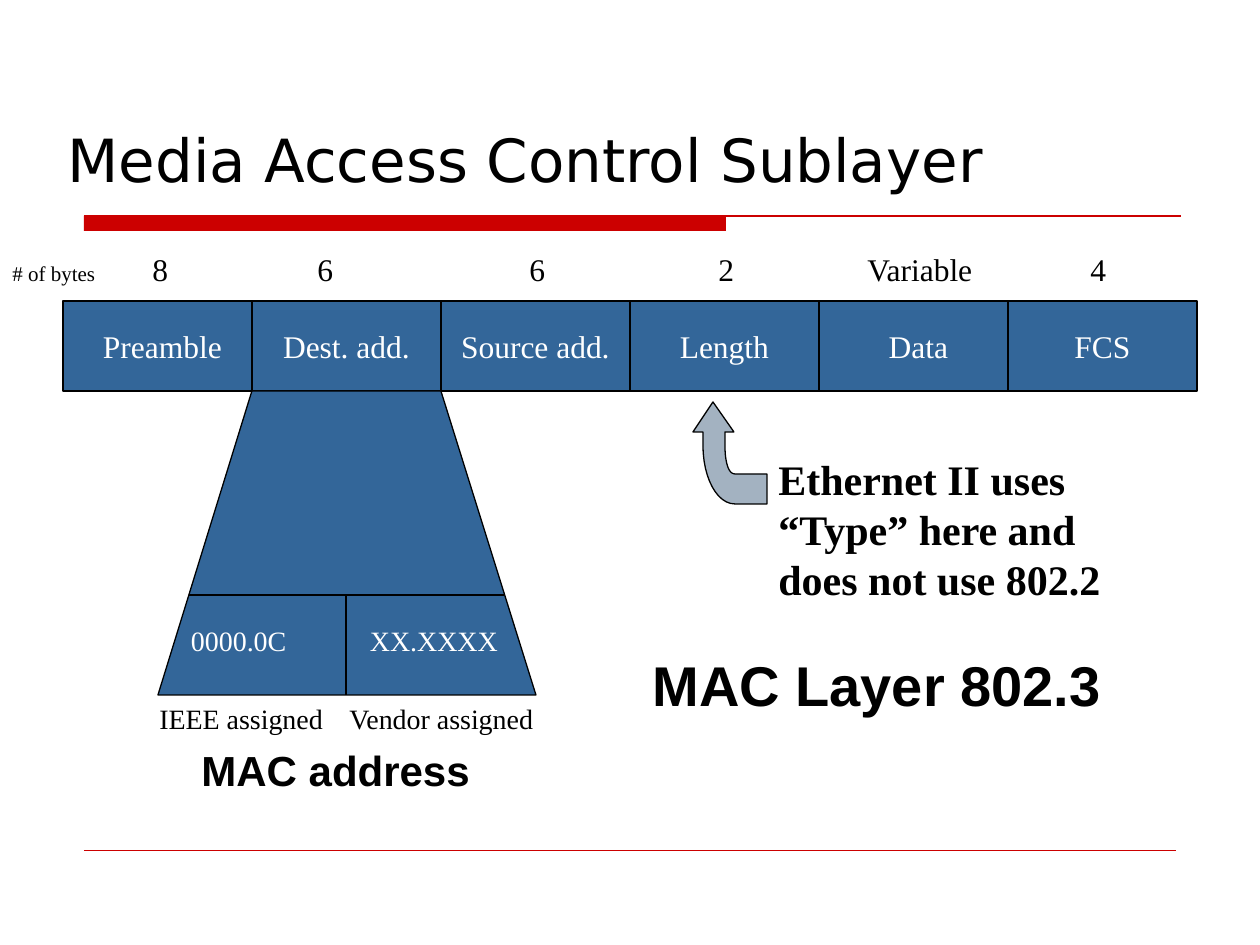
import pptx
import pptx.util
import pptx.dml.color
import pptx.enum.shapes
import pptx.enum.text
import lxml.etree
from dataclasses import dataclass
from pptx.oxml.ns import qn

PX = 914400 / 126
SHAPES = pptx.enum.shapes.MSO_SHAPE
ALIGN = pptx.enum.text.PP_ALIGN
ANCHOR = pptx.enum.text.MSO_ANCHOR


@dataclass
class Theme:
    red = pptx.dml.color.RGBColor(0xCC, 0x00, 0x00)
    blue = pptx.dml.color.RGBColor(0x33, 0x66, 0x99)
    grey = pptx.dml.color.RGBColor(0xA3, 0xB2, 0xC1)
    black = pptx.dml.color.RGBColor(0, 0, 0)
    white = pptx.dml.color.RGBColor(255, 255, 255)
    title_font = "DejaVu Sans"
    serif = "Times New Roman"
    sans = "Arial"
    title = 34
    layer = 32
    heading = 24
    field = 18
    address = 16
    unit = 12
    outline = pptx.util.Pt(0.75)
    hairline = pptx.util.Pt(0.25)


theme = Theme()


def write_text(frame, text, size, font=theme.serif, color=theme.black,
               bold=False, align=ALIGN.LEFT, tabs=()):
    """Fill the first paragraph; tabs are px from the left inset."""
    frame.word_wrap = True
    paragraph = frame.paragraphs[0]
    paragraph.text = text
    paragraph.alignment = align
    if tabs:
        tab_list = lxml.etree.SubElement(paragraph._p.get_or_add_pPr(), qn("a:tabLst"))
        for stop in tabs:
            lxml.etree.SubElement(tab_list, qn("a:tab"), pos=str(round(stop * PX)), algn="l")
    paragraph.font.size = pptx.util.Pt(size)
    paragraph.font.name = font
    paragraph.font.bold = bold
    paragraph.font.color.rgb = color


def draw_line(x1, y1, x2, y2, color=theme.black, width=theme.outline):
    line = slide.shapes.add_connector(
        pptx.enum.shapes.MSO_CONNECTOR.STRAIGHT,
        *[round(v * PX) for v in (x1, y1, x2, y2)])
    line.line.color.rgb = color
    line.line.width = width
    lxml.etree.SubElement(line._element.spPr, qn("a:effectLst"))


deck = pptx.Presentation()
deck.slide_width = round(1260 * PX)
deck.slide_height = round(945 * PX)
slide = deck.slides.add_slide(deck.slide_layouts[5])

# Title and rules
title = slide.shapes.title
title.left, title.top, title.width, title.height = [round(v * PX) for v in (55, 106, 1204, 95)]
title.text_frame.vertical_anchor = ANCHOR.BOTTOM
write_text(title.text_frame, "Media Access Control Sublayer", theme.title, theme.title_font)

title_bar = slide.shapes.add_shape(
    SHAPES.RECTANGLE, *[round(v * PX) for v in (84, 216, 642, 15)])
title_bar.shadow.inherit = False
title_bar.fill.solid()
title_bar.fill.fore_color.rgb = theme.red
title_bar.line.fill.background()
draw_line(84, 216, 1181, 216, theme.red)
draw_line(84, 850, 1176, 850, theme.red, theme.hairline)

# Frame fields: the wider ones run under their right neighbour
FIELD_LEFT, FIELD_TOP, FIELD_WIDTH, FIELD_HEIGHT = 63, 301, 189, 90
fields = [("Preamble", 10), ("Dest. add.", 0), ("Source add.", 0),
          ("Length", 0), ("Data", 10), ("FCS", 0)]
for column, (name, overlap) in enumerate(fields):
    field = slide.shapes.add_shape(
        SHAPES.RECTANGLE,
        round((FIELD_LEFT + column * FIELD_WIDTH) * PX), round(FIELD_TOP * PX),
        round((FIELD_WIDTH + overlap) * PX), round(FIELD_HEIGHT * PX))
    field.shadow.inherit = False
    field.fill.solid()
    field.fill.fore_color.rgb = theme.blue
    field.line.color.rgb = theme.black
    field.line.width = theme.outline
    field.text_frame.vertical_anchor = ANCHOR.MIDDLE
    write_text(field.text_frame, name, theme.field, color=theme.white, align=ALIGN.CENTER)

# Address trapezoid and the curved arrow to the Length field
arrow = [(713, 402), (693, 432), (703, 432)]
curves = [((703, 445), (703, 478), (717, 504), (735, 504)),
          ((735, 474), (728, 474), (725, 461), (725, 445))]
tail = [(767, 504), (767, 474)]
STEPS = 12
for curve, after in zip(curves, (tail, [(725, 432), (734, 432)])):
    for step in range(STEPS + 1):
        t = step / STEPS
        weights = ((1 - t) ** 3, 3 * t * (1 - t) ** 2, 3 * t * t * (1 - t), t ** 3)
        arrow.append(tuple(sum(w * point[axis] for w, point in zip(weights, curve))
                           for axis in (0, 1)))
    arrow += after

trapezoid = [(252, 391), (441, 391), (536, 695), (158, 695)]
for outline, fill in ((arrow, theme.grey), (trapezoid, theme.blue)):
    points = [(round(x * PX), round(y * PX)) for x, y in outline]
    builder = slide.shapes.build_freeform(*points[0])
    builder.add_line_segments(points[1:], close=True)
    figure = builder.convert_to_shape()
    figure.shadow.inherit = False
    figure.fill.solid()
    figure.fill.fore_color.rgb = fill
    figure.line.color.rgb = theme.black
    figure.line.width = theme.outline

draw_line(189, 595, 504, 595)

address = slide.shapes.add_shape(
    SHAPES.RECTANGLE, *[round(v * PX) for v in (189, 617, 312, 46)])
address.shadow.inherit = False
address.fill.solid()
address.fill.fore_color.rgb = theme.blue
address.line.fill.background()
address.text_frame.margin_left = round(2 * PX)
address.text_frame.margin_right = 0
address.text_frame.vertical_anchor = ANCHOR.MIDDLE
write_text(address.text_frame, "0000.0C\tXX.XXXX", theme.address,
           color=theme.white, tabs=[179])
draw_line(346, 595, 346, 695)

# Labels: place, text, size, font, bold, tab stops
labels = [
    ((0, 244, 1218, 50), "# of bytes\t8\t6\t6\t2\tVariable\t4", theme.field,
     theme.serif, False, [140, 305, 517, 706, 855, 1078]),
    ((766, 447, 368, 164), "Ethernet II uses “Type” here and does not use 802.2",
     theme.heading, theme.serif, True, []),
    ((147, 695, 431, 47), "IEEE assigned\tVendor assigned", theme.address,
     theme.serif, False, [190]),
    ((189, 738, 420, 63), "MAC address", theme.heading, theme.sans, True, []),
    ((640, 644, 546, 81), "MAC Layer 802.3", theme.layer, theme.sans, True, []),
]
for place, text, size, font, bold, tabs in labels:
    label = slide.shapes.add_textbox(*[round(v * PX) for v in place])
    write_text(label.text_frame, text, size, font, bold=bold, tabs=tabs)
    if text.startswith("# of bytes"):
        unit = label.text_frame.paragraphs[0].runs[0]
        counts = label.text_frame.paragraphs[0].add_run()
        unit.text, counts.text = "# of bytes", text.removeprefix("# of bytes")
        unit.font.size = pptx.util.Pt(theme.unit)

deck.save("out.pptx")
